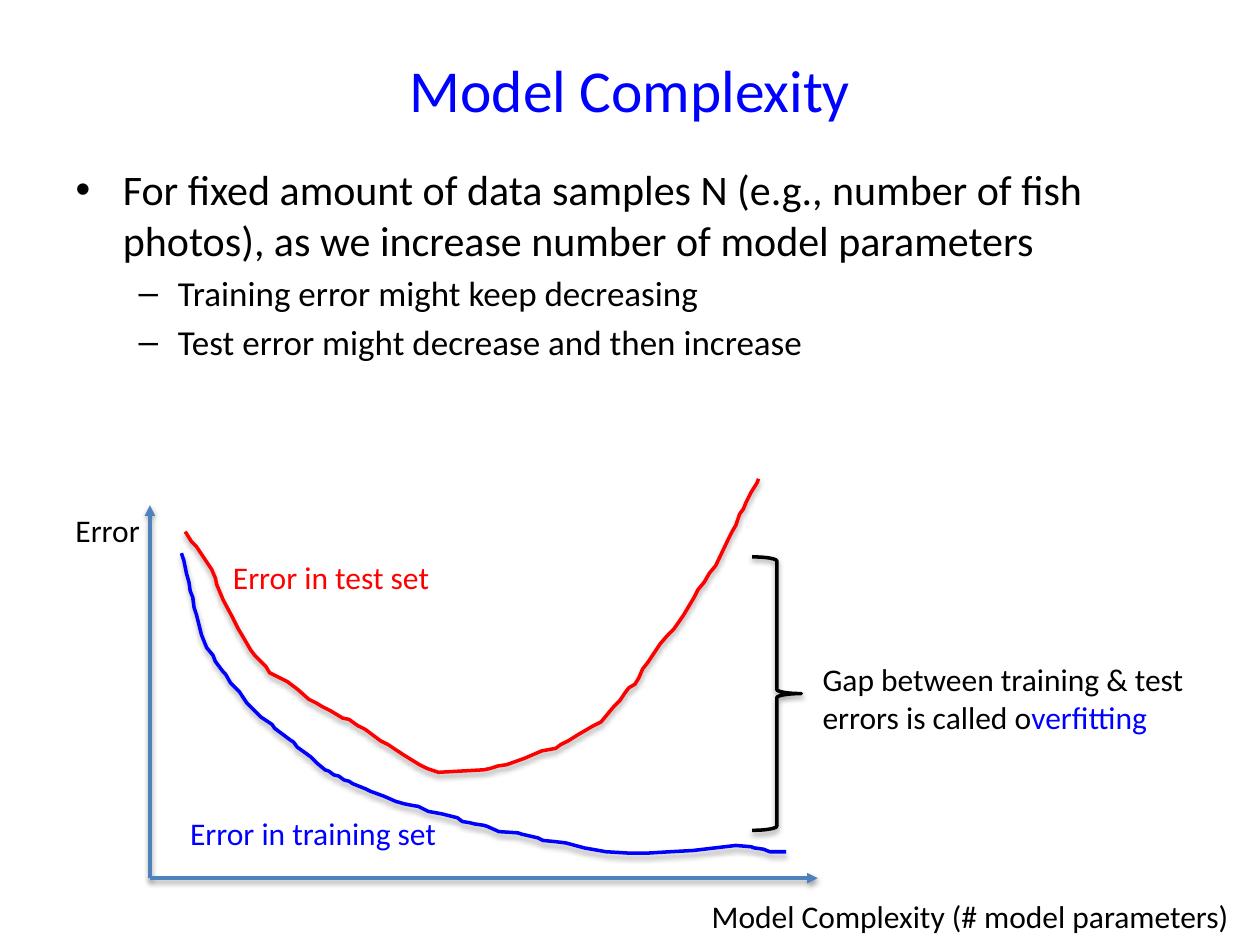
from lxml import etree
from pptx import Presentation
from pptx.dml.color import RGBColor
from pptx.enum.shapes import MSO_CONNECTOR, MSO_SHAPE
from pptx.enum.text import MSO_ANCHOR, MSO_AUTO_SIZE, PP_ALIGN
from pptx.oxml import parse_xml
from pptx.oxml.ns import nsdecls, qn
from pptx.util import Inches, Pt

BLUE = RGBColor(0x00, 0x00, 0xFF)
RED = RGBColor(0xFF, 0x00, 0x00)
BLACK = RGBColor(0x00, 0x00, 0x00)
AXIS_BLUE = RGBColor(0x4F, 0x81, 0xBD)

STRAIGHT = MSO_CONNECTOR.STRAIGHT
RIGHT_BRACE = MSO_SHAPE.RIGHT_BRACE
MIDDLE = MSO_ANCHOR.MIDDLE
CENTER = PP_ALIGN.CENTER
GROW = MSO_AUTO_SIZE.SHAPE_TO_FIT_TEXT

FONT = "Calibri"
ORIGIN = (1.19, 6.97)
AXIS_ENDS = [(1.19, 4.01), (6.49, 6.97)]
AXIS_SHADOW = {"opacity": 38000, "distance": 20000}
CURVE_SHADOW = {"opacity": 35000, "distance": 23000}

TEST_ERROR = [
    (1.47, 4.22), (1.52, 4.3), (1.56, 4.34), (1.62, 4.43), (1.68, 4.52),
    (1.71, 4.59), (1.72, 4.64), (1.77, 4.76), (1.84, 4.89), (1.87, 4.95),
    (1.89, 4.99), (1.92, 5.04), (1.99, 5.16), (2.02, 5.2), (2.11, 5.29),
    (2.14, 5.34), (2.2, 5.37), (2.28, 5.41), (2.36, 5.47), (2.45, 5.55),
    (2.51, 5.58), (2.56, 5.61), (2.62, 5.64), (2.72, 5.7), (2.77, 5.71),
    (2.84, 5.76), (2.9, 5.79), (3.02, 5.88), (3.08, 5.91), (3.2, 5.99),
    (3.33, 6.07), (3.39, 6.1), (3.48, 6.13), (3.84, 6.11), (3.89, 6.1),
    (3.95, 6.08), (4.02, 6.07), (4.16, 6.02), (4.3, 5.96), (4.41, 5.94),
    (4.45, 5.91), (4.51, 5.88), (4.59, 5.83), (4.71, 5.76), (4.77, 5.73),
    (4.87, 5.61), (4.92, 5.56), (4.96, 5.5), (4.99, 5.46), (5.04, 5.43),
    (5.07, 5.38), (5.1, 5.31), (5.14, 5.26), (5.24, 5.11), (5.3, 5.04),
    (5.35, 4.99), (5.42, 4.89), (5.51, 4.74), (5.54, 4.68), (5.59, 4.62),
    (5.63, 4.55), (5.68, 4.49), (5.78, 4.28), (5.81, 4.22), (5.84, 4.17),
    (5.87, 4.08), (5.9, 4.04), (5.92, 3.99), (5.96, 3.91), (6.01, 3.83),
    (6.02, 3.8),
]
TRAINING_ERROR = [
    (1.44, 4.39), (1.46, 4.45), (1.48, 4.55), (1.5, 4.62), (1.51, 4.69),
    (1.53, 4.74), (1.54, 4.82), (1.56, 4.88), (1.57, 4.92), (1.58, 4.96),
    (1.6, 5.04), (1.64, 5.14), (1.69, 5.2), (1.71, 5.25), (1.77, 5.33),
    (1.79, 5.35), (1.83, 5.42), (1.9, 5.49), (1.96, 5.58), (2.04, 5.66),
    (2.07, 5.69), (2.16, 5.75), (2.18, 5.78), (2.3, 5.87), (2.33, 5.89),
    (2.36, 5.93), (2.43, 5.98), (2.47, 6.01), (2.52, 6.06), (2.58, 6.11),
    (2.61, 6.12), (2.65, 6.15), (2.69, 6.16), (2.73, 6.19), (2.77, 6.2),
    (2.8, 6.22), (2.9, 6.26), (2.94, 6.28), (3.05, 6.32), (3.14, 6.36),
    (3.21, 6.38), (3.26, 6.39), (3.32, 6.4), (3.4, 6.44), (3.51, 6.46),
    (3.63, 6.49), (3.67, 6.52), (3.73, 6.53), (3.77, 6.54), (3.84, 6.55),
    (3.87, 6.56), (3.96, 6.6), (4.11, 6.61), (4.14, 6.62), (4.27, 6.65),
    (4.31, 6.67), (4.41, 6.68), (4.49, 6.69), (4.64, 6.73), (4.81, 6.76),
    (4.98, 6.77), (5.15, 6.77), (5.32, 6.76), (5.5, 6.75), (5.84, 6.71),
    (5.96, 6.72), (5.99, 6.73), (6.06, 6.74), (6.11, 6.76), (6.16, 6.76),
    (6.24, 6.76),
]
LABELS = [
    ((0.5, 4.01, 0.72, 0.4), [("Error", BLACK)], False),
    ((5.55, 7.07, 4.35, 0.4), [("Model Complexity (# model parameters)", BLACK)], False),
    ((1.75, 4.38, 1.78, 0.4), [("Error in test set", RED)], False),
    ((1.41, 6.41, 2.18, 0.4), [("Error in training set", BLUE)], False),
    ((6.43, 5.19, 3.29, 0.71),
     [("Gap between training & test errors is called o", BLACK), ("verfitting", BLUE)], True),
]
BULLETS = [
    (0, 24, "For fixed amount of data samples N (e.g., number of fish photos), "
            "as we increase number of model parameters"),
    (1, 20, "Training error might keep decreasing"),
    (1, 20, "Test error might decrease and then increase"),
]


def set_font(font, size, color):
    values = {"name": FONT, "size": Pt(size)}
    for attribute, value in values.items():
        setattr(font, attribute, value)
    font.color.rgb = color


def place(placeholder, box):
    for side, length in zip(("left", "top", "width", "height"), box):
        setattr(placeholder, side, Inches(length))


def style_line(outline, color, opacity, distance):
    outline.line.color.rgb = color
    outline.line.width = Pt(2)
    outline.element.spPr.append(parse_xml(
        f'<a:effectLst {nsdecls("a")}>'
        f'<a:outerShdw blurRad="40000" dist="{distance}" dir="5400000" rotWithShape="0">'
        f'<a:srgbClr val="000000"><a:alpha val="{opacity}"/></a:srgbClr>'
        '</a:outerShdw></a:effectLst>'))


def fill_title(title):
    place(title, (0.5, 0.08, 9, 1.25))
    frame = title.text_frame
    frame.text = "Model Complexity"
    frame.vertical_anchor = MIDDLE
    frame.paragraphs[0].alignment = CENTER
    set_font(frame.paragraphs[0].runs[0].font, 34, BLUE)


def fill_bullets(body):
    place(body, (0.5, 1.25, 9, 4.95))
    frame = body.text_frame
    for index, (level, size, wording) in enumerate(BULLETS):
        bullet = frame.add_paragraph() if index else frame.paragraphs[0]
        bullet.level = level
        run = bullet.add_run()
        run.text = wording
        set_font(run.font, size, BLACK)


def add_axis(slide, end):
    axis = slide.shapes.add_connector(STRAIGHT, *map(Inches, ORIGIN + end))
    style_line(axis, AXIS_BLUE, **AXIS_SHADOW)
    outline = axis.element.spPr.find(qn("a:ln"))
    etree.SubElement(outline, qn("a:tailEnd"), type="triangle")


def add_curve(slide, points, color):
    start, *rest = [(Inches(x), Inches(y)) for x, y in points]
    builder = slide.shapes.build_freeform(*start)
    builder.add_line_segments(rest, close=False)
    curve = builder.convert_to_shape()
    curve.fill.background()
    style_line(curve, color, **CURVE_SHADOW)


def add_gap_brace(slide):
    brace = slide.shapes.add_shape(RIGHT_BRACE, *map(Inches, (5.97, 4.42, 0.39, 2.17)))
    brace.fill.background()
    style_line(brace, BLACK, **AXIS_SHADOW)


def add_label(slide, box, parts, wraps):
    frame = slide.shapes.add_textbox(*map(Inches, box)).text_frame
    frame.word_wrap = wraps
    frame.auto_size = GROW
    for wording, color in parts:
        run = frame.paragraphs[0].add_run()
        run.text = wording
        set_font(run.font, 18, color)


def main():
    deck = Presentation()
    deck.slide_width, deck.slide_height = Inches(10), Inches(7.5)
    slide = deck.slides.add_slide(deck.slide_layouts[1])
    fill_title(slide.shapes.title)
    fill_bullets(slide.placeholders[1])
    for end in AXIS_ENDS:
        add_axis(slide, end)
    add_curve(slide, TEST_ERROR, RED)
    add_curve(slide, TRAINING_ERROR, BLUE)
    add_gap_brace(slide)
    for box, parts, wraps in LABELS:
        add_label(slide, box, parts, wraps)
    deck.save("out.pptx")


if __name__ == "__main__":
    main()
